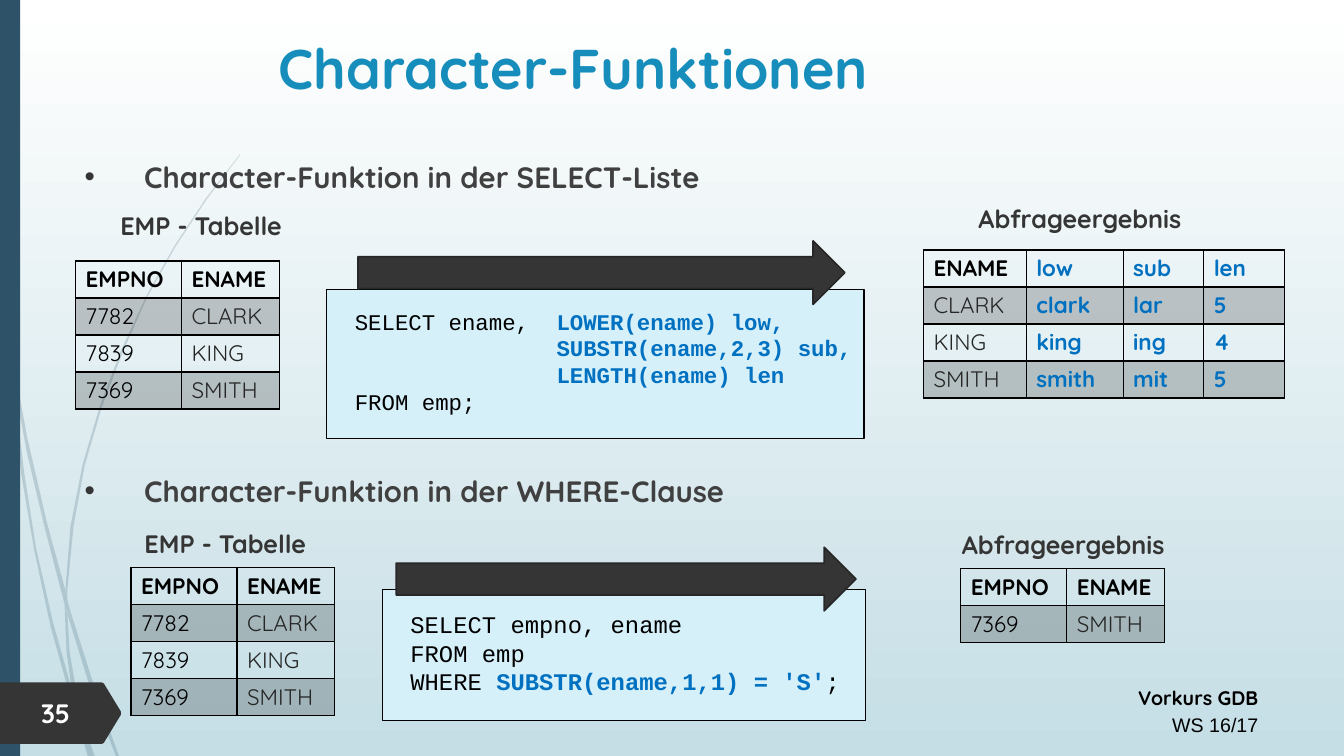
from pptx import Presentation
from pptx.dml.color import RGBColor
from pptx.enum.shapes import MSO_SHAPE
from pptx.enum.text import MSO_ANCHOR, MSO_AUTO_SIZE, PP_ALIGN
from pptx.oxml import parse_xml
from pptx.oxml.ns import nsdecls, qn
from pptx.util import Inches, Pt

BLACK = RGBColor(0x00, 0x00, 0x00)
WHITE = RGBColor(0xFF, 0xFF, 0xFF)
DARK = RGBColor(0x35, 0x35, 0x35)
ARROW_EDGE = RGBColor(0x27, 0x27, 0x27)
BODY_GREY = RGBColor(0x40, 0x40, 0x40)
NAME_GREY = RGBColor(0x26, 0x26, 0x26)
BLUE = RGBColor(0x00, 0x70, 0xC0)
TITLE_BLUE = RGBColor(0x17, 0x8D, 0xBB)
NAVY = RGBColor(0x2E, 0x53, 0x69)
PALE_BLUE = RGBColor(0xD6, 0xF0, 0xFA)
MIST = RGBColor(0xC5, 0xDE, 0xE5)

CENTER, RIGHT, LEFT = PP_ALIGN.CENTER, PP_ALIGN.RIGHT, PP_ALIGN.LEFT
MIDDLE = MSO_ANCHOR.MIDDLE
NO_FIT = MSO_AUTO_SIZE.NONE
RECTANGLE, RIGHT_ARROW = MSO_SHAPE.RECTANGLE, MSO_SHAPE.RIGHT_ARROW
SANS, MONO = "Quicksand", "Courier New"

CELL = Inches(0.1)  # one column or row of the page grid
POINT_STEP = Inches(0.01)  # unit of the outline points
ROW_HEIGHT = 3.67
COLUMN_WIDTHS = {"EMPNO": 10.5, "ENAME": 9.7}
COLUMN_COLOURS = {"EMPNO": BLACK, "ENAME": NAME_GREY}

# Thin curved wisps behind the content, as outline points
WISPS = [
    [(8, 350), (6, 322), (0, 282), (0, 299), (8, 344)],
    [(44, 522), (64, 599), (65, 586), (47, 520), (27, 434), (11, 345), (13, 376), (27, 450)],
    [(70, 607), (67, 596), (67, 610), (93, 694), (115, 750), (118, 750), (97, 692)],
    [(91, 750), (94, 750), (80, 711)],
    [(71, 683), (53, 619), (36, 545), (24, 469), (13, 376), (8, 350), (21, 470),
     (34, 546), (50, 621), (70, 693), (77, 714)],
    [(64, 599), (66, 646), (71, 683), (80, 711), (69, 646), (67, 610)],
    [(67, 584), (73, 522), (84, 462), (101, 404), (122, 349), (146, 295), (174, 245),
     (205, 198), (238, 154), (238, 153), (204, 197), (173, 244), (145, 294), (120, 348),
     (99, 403), (82, 461), (70, 522), (65, 584), (67, 596)],
    [(77, 714), (87, 750), (90, 750)],
    [(67, 608), (67, 596), (65, 586), (64, 599)],
    [(74, 692), (71, 683), (77, 714), (90, 750), (91, 750), (80, 711)],
]
PAGE_TAG = [(120, 709), (103, 737), (101, 738), (0, 738), (0, 677), (101, 677),
            (103, 678), (120, 706)]

STAFF = [("7782", "CLARK"), ("7839", "KING"), ("7369", "SMITH")]


def grid(*cells):
    return [int(CELL * count) for count in cells]


def style(span, size, colour, bold=True, font=SANS):
    span.font.name, span.font.size = font, Pt(size)
    span.font.color.rgb, span.font.bold = colour, bold


def make_translucent(element):
    """Let every RGB colour inside the element show at 20 percent."""
    for colour in element.iter(qn("a:srgbClr")):
        colour.append(parse_xml(f'<a:alpha {nsdecls("a")} val="20000"/>'))


def paint(shape, fill, line=None, width=0.75):
    shape.shadow.inherit = False
    shape.fill.solid()
    shape.fill.fore_color.rgb = fill
    if line is None:
        shape.line.fill.background()
    else:
        shape.line.color.rgb, shape.line.width = line, Pt(width)


def add_outline(page, points, fill):
    builder = page.shapes.build_freeform(*points[0], scale=POINT_STEP)
    builder.add_line_segments(points[1:], close=True)
    shape = builder.convert_to_shape()
    paint(shape, fill)
    return shape


def add_label(page, area, text, size=18, colour=DARK, align=CENTER):
    frame = page.shapes.add_textbox(*grid(*area)).text_frame
    frame.word_wrap = True
    frame.text = text
    for para in frame.paragraphs:
        para.alignment = align
        style(para.runs[0], size, colour)
    return frame


def add_code(page, area, lines, size):
    """Draw a code box; each line is a list of (text, highlighted) pairs."""
    box = page.shapes.add_shape(RECTANGLE, *grid(*area))
    paint(box, PALE_BLUE, BLACK)
    frame = box.text_frame
    frame.word_wrap, frame.vertical_anchor = True, MIDDLE
    frame.margin_left, frame.margin_top, frame.margin_right, frame.margin_bottom = grid(2.8, 0, 0.5, 0.5)
    for index, line in enumerate(lines):
        para = frame.add_paragraph() if index else frame.paragraphs[0]
        para.alignment = LEFT
        para._p.get_or_add_pPr().append(parse_xml(
            f'<a:tabLst {nsdecls("a")}><a:tab pos="{CELL * 20}" algn="l"/></a:tabLst>'))
        for text, highlighted in line:
            span = para.add_run()
            span.text = text
            style(span, size, BLUE if highlighted else BLACK, highlighted, MONO)


def add_arrow(page, area):
    arrow = page.shapes.add_shape(RIGHT_ARROW, *grid(*area))
    paint(arrow, DARK, ARROW_EDGE, 1.25)


def format_cell(cell, text, colour, bold, shaded):
    cell.text = text
    cell.vertical_anchor = MIDDLE
    cell.margin_top = cell.margin_bottom = CELL * 4 // 10
    style(cell.text_frame.paragraphs[0].runs[0], 16, colour, bold)
    properties = cell._tc.get_or_add_tcPr()
    for side in "LRTB":
        properties.append(parse_xml(
            f'<a:ln{side} {nsdecls("a")} w="{Pt(1)}"><a:solidFill>'
            f'<a:srgbClr val="{BLACK}"/></a:solidFill></a:ln{side}>'))
    if shaded:
        cell.fill.solid()
        cell.fill.fore_color.rgb = BLACK
        make_translucent(properties.find(qn("a:solidFill")))
    else:
        cell.fill.background()


def add_data_table(page, left, top, header, records, widths=None):
    widths = widths or [COLUMN_WIDTHS[name] for name in header]
    rows = [header, *records]
    area = grid(left, top, sum(widths), ROW_HEIGHT * len(rows))
    table = page.shapes.add_table(len(rows), len(header), *area).table
    table.first_row = table.horz_banding = False
    for column, width in zip(table.columns, grid(*widths)):
        column.width = width
    for row_index, record in enumerate(rows):
        table.rows[row_index].height = int(CELL * ROW_HEIGHT)
        for column_index, text in enumerate(record):
            data_colour = COLUMN_COLOURS.get(header[column_index], BLUE)
            is_header, is_blue = row_index == 0, data_colour == BLUE
            colour = BLACK if is_header and not is_blue else data_colour
            format_cell(table.cell(row_index, column_index), text, colour,
                        is_header or is_blue, row_index % 2 == 1)


def move(shape, area):
    shape.left, shape.top, shape.width, shape.height = grid(*area)
    shape.text_frame.auto_size = NO_FIT


def fill_placeholders(page):
    title, body = page.shapes.title, page.placeholders[1]
    move(title, (12, 2.6, 89.7, 8.1))
    title.text_frame.text = "Character-Funktionen"
    heading = title.text_frame.paragraphs[0]
    heading.alignment = CENTER
    style(heading.runs[0], 40, TITLE_BLUE)

    move(body, (7.4, 14.6, 118.4, 50))
    body.text_frame.text = ("Character-Funktion in der SELECT-Liste\n"
                            "Character-Funktion in der WHERE-Clause")
    for para, space in zip(body.text_frame.paragraphs, (10, 194)):
        para.line_spacing, para.space_before = 1.2, Pt(space)
        style(para.runs[0], 21, BODY_GREY)
        properties = para._p.get_or_add_pPr()
        properties.set("marL", str(int(CELL * 5.9)))
        properties.set("indent", str(-int(CELL * 5.9)))
        for bullet in (f'<a:buClr {nsdecls("a")}><a:srgbClr val="{DARK}"/></a:buClr>',
                       f'<a:buFont {nsdecls("a")} typeface="Arial"/>',
                       f'<a:buChar {nsdecls("a")} char="•"/>'):
            properties.append(parse_xml(bullet))


def add_backdrop(page):
    backdrop = page.background.fill
    backdrop.gradient()
    backdrop.gradient_angle = 270
    for stop, colour in zip(backdrop.gradient_stops, (WHITE, MIST)):
        stop.color.rgb = colour
    for points in WISPS:
        make_translucent(add_outline(page, points, NAVY).element.spPr)
    paint(page.shapes.add_shape(RECTANGLE, *grid(0, 0, 2, 75)), NAVY)
    add_outline(page, PAGE_TAG, DARK)
    add_label(page, (3.1, 68.6, 7, 4.2), "35", 19, WHITE, LEFT)
    footer = add_label(page, (73.8, 67.2, 52, 6.4), "Vorkurs GDB\nWS 16/17", 14, BLACK, RIGHT)
    for para in footer.paragraphs:
        para.line_spacing = 1.14
    style(footer.paragraphs[1].runs[0], 14, BLACK, False, "Arial")


def main():
    deck = Presentation()
    deck.slide_width, deck.slide_height = Inches(13.33), Inches(7.5)
    page = deck.slides.add_slide(deck.slide_layouts[1])
    add_backdrop(page)
    fill_placeholders(page)

    add_label(page, (10.1, 20.4, 19.7, 4), "EMP - Tabelle")
    add_data_table(page, 7.5, 25.9, ("EMPNO", "ENAME"), STAFF)
    add_code(page, (32.4, 28.7, 53.3, 14.8), [
        [("SELECT ename,\t", False), ("LOWER(ename) low,", True)],
        [("\tSUBSTR(ename,2,3) sub,", True)],
        [("\tLENGTH(ename) len", True)],
        [("FROM emp;", False)]], 16)
    add_arrow(page, (35.5, 23.9, 48.3, 6.3))
    add_label(page, (93.7, 19.7, 26.8, 4), "Abfrageergebnis")
    add_data_table(page, 91.6, 24.8, ("ENAME", "low", "sub", "len"), [
        ("CLARK", "clark", "lar", "5"), ("KING", "king", "ing", "4"),
        ("SMITH", "smith", "mit", "5")], (10.2, 9.6, 8, 8))

    add_label(page, (12.5, 51.9, 19.7, 4), "EMP - Tabelle")
    add_data_table(page, 13, 56.3, ("EMPNO", "ENAME"), STAFF)
    add_code(page, (37.9, 58.5, 47.9, 13), [
        [("SELECT empno, ename", False)], [("FROM emp", False)],
        [("WHERE ", False), ("SUBSTR(ename,1,1) = 'S'", True), (";", False)]], 17)
    add_arrow(page, (39.3, 54.3, 45.6, 6.3))
    add_label(page, (93.1, 52, 24.7, 4), "Abfrageergebnis")
    add_data_table(page, 95.3, 56.4, ("EMPNO", "ENAME"), STAFF[-1:])
    deck.save("out.pptx")


if __name__ == "__main__":
    main()
